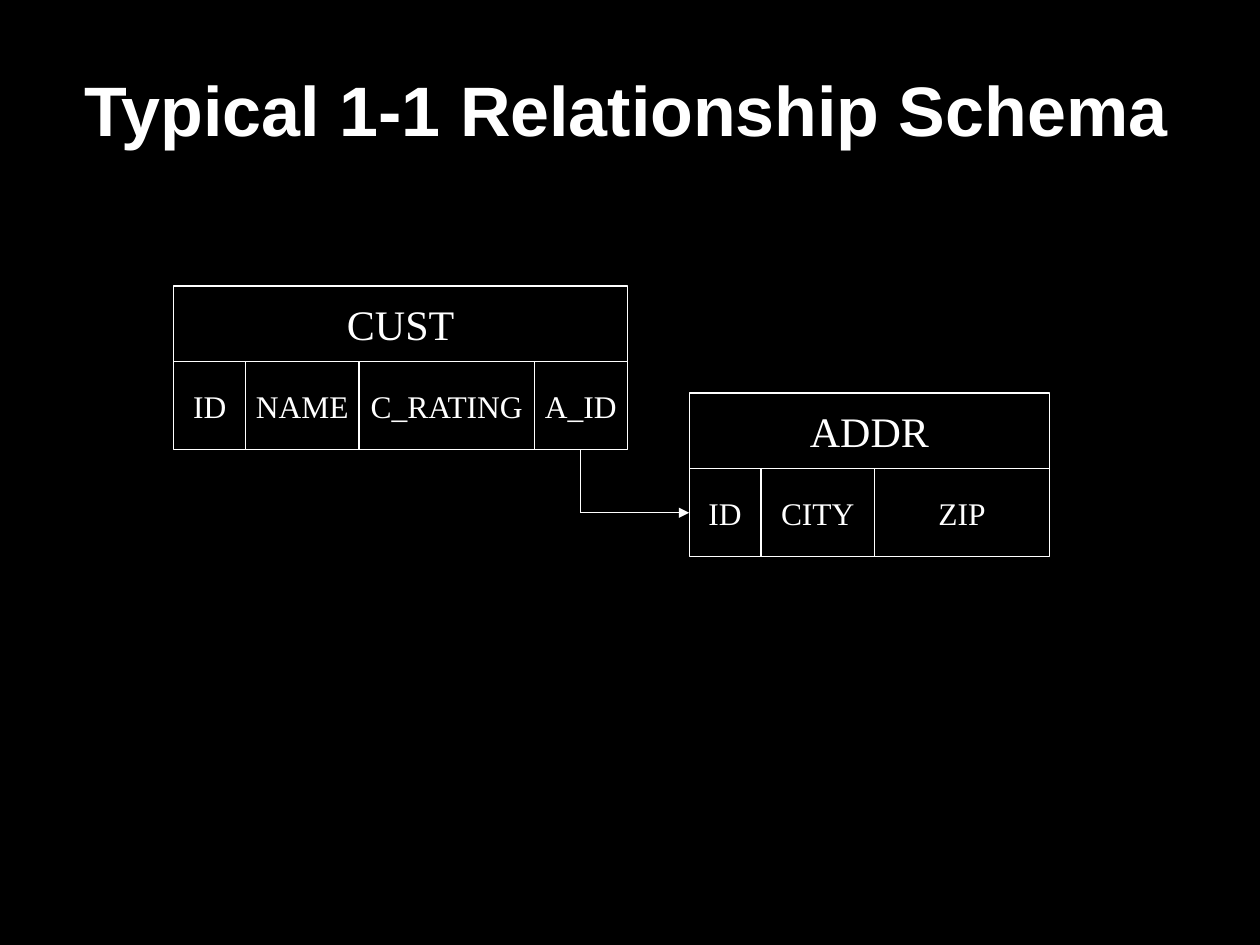
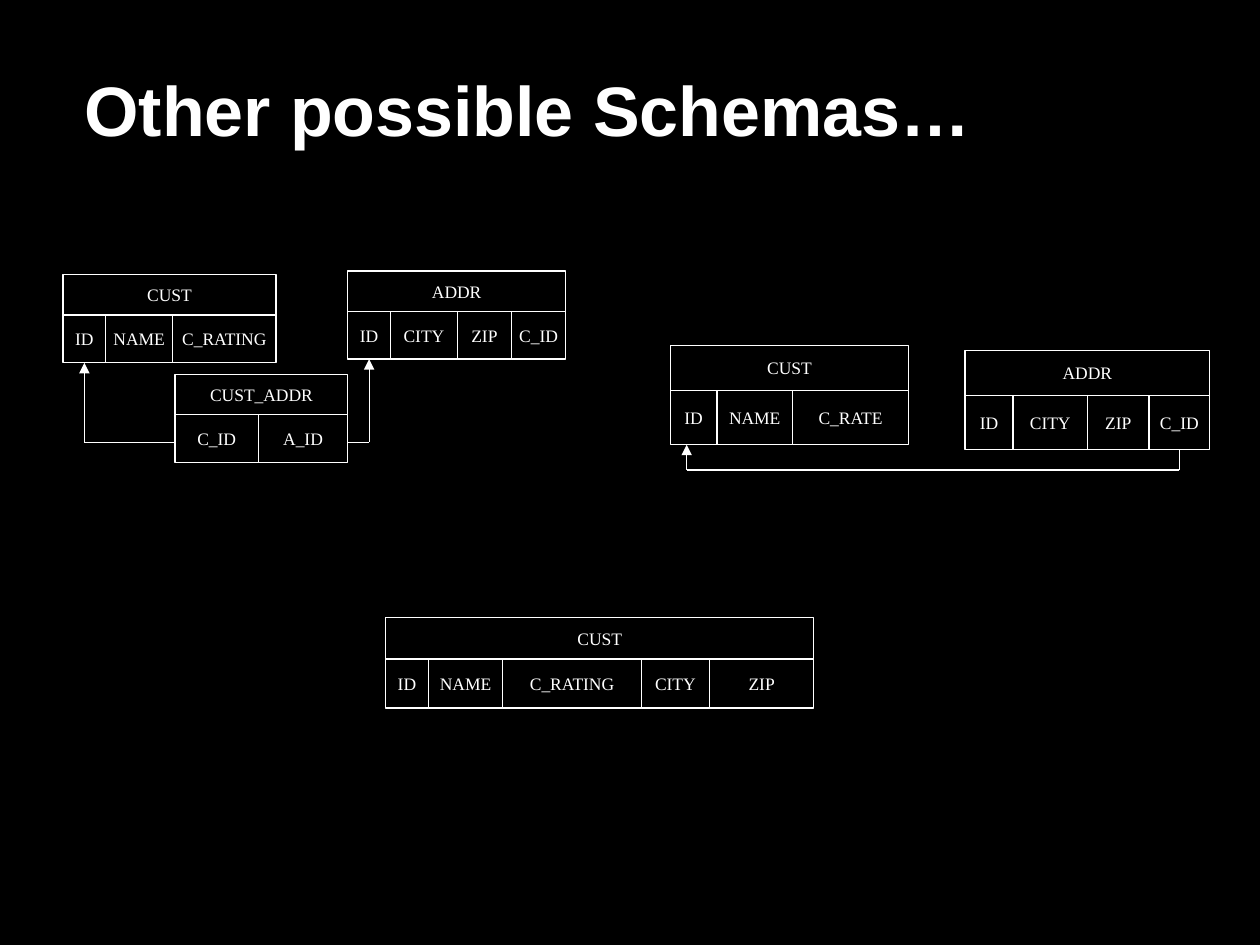
from lxml import etree
from pptx import Presentation
from pptx.dml.color import RGBColor
from pptx.enum.shapes import MSO_CONNECTOR, MSO_SHAPE
from pptx.enum.text import MSO_ANCHOR, MSO_AUTO_SIZE, PP_ALIGN
from pptx.oxml.ns import qn
from pptx.util import Inches, Pt

BLACK = RGBColor(0x00, 0x00, 0x00)
WHITE = RGBColor(0xFF, 0xFF, 0xFF)
TITLE_FONT = "Arial"
CELL_FONT = "Times New Roman"
LINE_WIDTH = Pt(0.75)
RECTANGLE = MSO_SHAPE.RECTANGLE
STRAIGHT = MSO_CONNECTOR.STRAIGHT
MIDDLE = MSO_ANCHOR.MIDDLE
CENTER = PP_ALIGN.CENTER
LEFT = PP_ALIGN.LEFT
NO_AUTOFIT = MSO_AUTO_SIZE.NONE
LEFT_SIDE, BOTTOM_SIDE = 1, 2


def draw_entity(page, name, left, top, heights, columns, name_size, column_size):
    """Draw a name bar above a row of columns; return the column cells by name."""
    name_height, column_height = heights
    full_width = sum(width for _, width in columns)
    specs = [(name, left, top, full_width, name_height, name_size)]
    for column, width in columns:
        specs.append((column, left, top + name_height, width, column_height, column_size))
        left += width
    cells = {}
    for text, x, y, width, height, size in specs:
        box = page.shapes.add_shape(RECTANGLE, Inches(x), Inches(y), Inches(width), Inches(height))
        box.shadow.inherit = False
        box.fill.background()
        box.line.color.rgb = WHITE
        box.line.width = LINE_WIDTH
        frame = box.text_frame
        frame.word_wrap = False
        frame.vertical_anchor = MIDDLE
        para = frame.paragraphs[0]
        para.alignment = CENTER
        span = para.add_run()
        span.text = text
        span.font.name = CELL_FONT
        span.font.size = Pt(size)
        span.font.color.rgb = WHITE
        cells[text] = box
    return cells


def draw_link(page, points, begin=None, end=None):
    """Draw lines through the points, with an arrowhead at the last one."""
    lines = []
    for (x1, y1), (x2, y2) in zip(points, points[1:]):
        line = page.shapes.add_connector(STRAIGHT, Inches(x1), Inches(y1), Inches(x2), Inches(y2))
        line.line.color.rgb = WHITE
        line.line.width = LINE_WIDTH
        etree.SubElement(line._element.spPr, qn("a:effectLst"))
        lines.append(line)
    if begin:
        lines[0].begin_connect(*begin)
    if end:
        lines[-1].end_connect(*end)
    etree.SubElement(lines[-1].line._get_or_add_ln(), qn("a:tailEnd"), type="triangle")


deck = Presentation()
deck.slide_width = Inches(10)
deck.slide_height = Inches(7.5)

# Shared background
background = deck.slide_master.background.fill
background.solid()
background.fore_color.rgb = BLACK

# Pages with their titles
pages = []
for title_text, title_width in [("Typical 1-1 Relationship Schema", 8.75),
                                ("Other possible Schemas…", 8.17)]:
    page = deck.slides.add_slide(deck.slide_layouts[5])
    title = page.shapes.title
    title.left, title.top = Inches(0.67), Inches(0.33)
    title.width, title.height = Inches(title_width), Inches(1.17)
    frame = title.text_frame
    frame.margin_left = frame.margin_right = frame.margin_top = frame.margin_bottom = 0
    frame.auto_size = NO_AUTOFIT
    frame.word_wrap = True
    frame.vertical_anchor = MIDDLE
    para = frame.paragraphs[0]
    para.alignment = LEFT
    para.line_spacing = 0.85
    span = para.add_run()
    span.text = title_text
    span.font.name = TITLE_FONT
    span.font.size = Pt(40)
    span.font.bold = True
    span.font.color.rgb = WHITE
    pages.append(page)
typical_page, other_page = pages

# Typical schema: customer refers to address
large = (0.6, 0.7)
cust = draw_entity(typical_page, "CUST", 1.38, 2.27, large,
                   [("ID", 0.57), ("NAME", 0.9), ("C_RATING", 1.39), ("A_ID", 0.74)], 24, 18)
addr = draw_entity(typical_page, "ADDR", 5.47, 3.12, large,
                   [("ID", 0.57), ("CITY", 0.9), ("ZIP", 1.39)], 24, 18)
draw_link(typical_page, [(4.61, 3.57), (4.61, 4.07), (5.47, 4.07)],
          (cust["A_ID"], BOTTOM_SIDE), (addr["ID"], LEFT_SIDE))

# Address refers to customer
medium = (0.36, 0.43)
cust = draw_entity(other_page, "CUST", 5.32, 2.74, medium,
                   [("ID", 0.37), ("NAME", 0.6), ("C_RATE", 0.92)], 10, 10)
addr = draw_entity(other_page, "ADDR", 7.66, 2.78, medium,
                   [("ID", 0.38), ("CITY", 0.59), ("ZIP", 0.49), ("C_ID", 0.48)], 10, 10)
draw_link(other_page, [(9.36, 3.57), (9.36, 3.73), (5.45, 3.73), (5.45, 3.53)],
          (addr["C_ID"], BOTTOM_SIDE))

# Linking entity between customer and address
small = (0.32, 0.38)
cust = draw_entity(other_page, "CUST", 0.5, 2.18, small,
                   [("ID", 0.34), ("NAME", 0.53), ("C_RATING", 0.82)], 10, 10)
addr = draw_entity(other_page, "ADDR", 2.76, 2.15, small,
                   [("ID", 0.34), ("CITY", 0.53), ("ZIP", 0.43), ("C_ID", 0.43)], 10, 10)
draw_entity(other_page, "CUST_ADDR", 1.39, 2.97, small,
            [("C_ID", 0.66), ("A_ID", 0.71)], 10, 10)
draw_link(other_page, [(1.39, 3.51), (0.67, 3.51), (0.67, 2.88)],
          end=(cust["ID"], BOTTOM_SIDE))
draw_link(other_page, [(2.76, 3.51), (2.93, 3.51), (2.93, 2.85)],
          end=(addr["ID"], BOTTOM_SIDE))

# Single merged entity
draw_entity(other_page, "CUST", 3.06, 4.9, (0.33, 0.39),
            [("ID", 0.34), ("NAME", 0.59), ("C_RATING", 1.1), ("CITY", 0.54), ("ZIP", 0.83)],
            10, 10)

deck.save("out.pptx")
